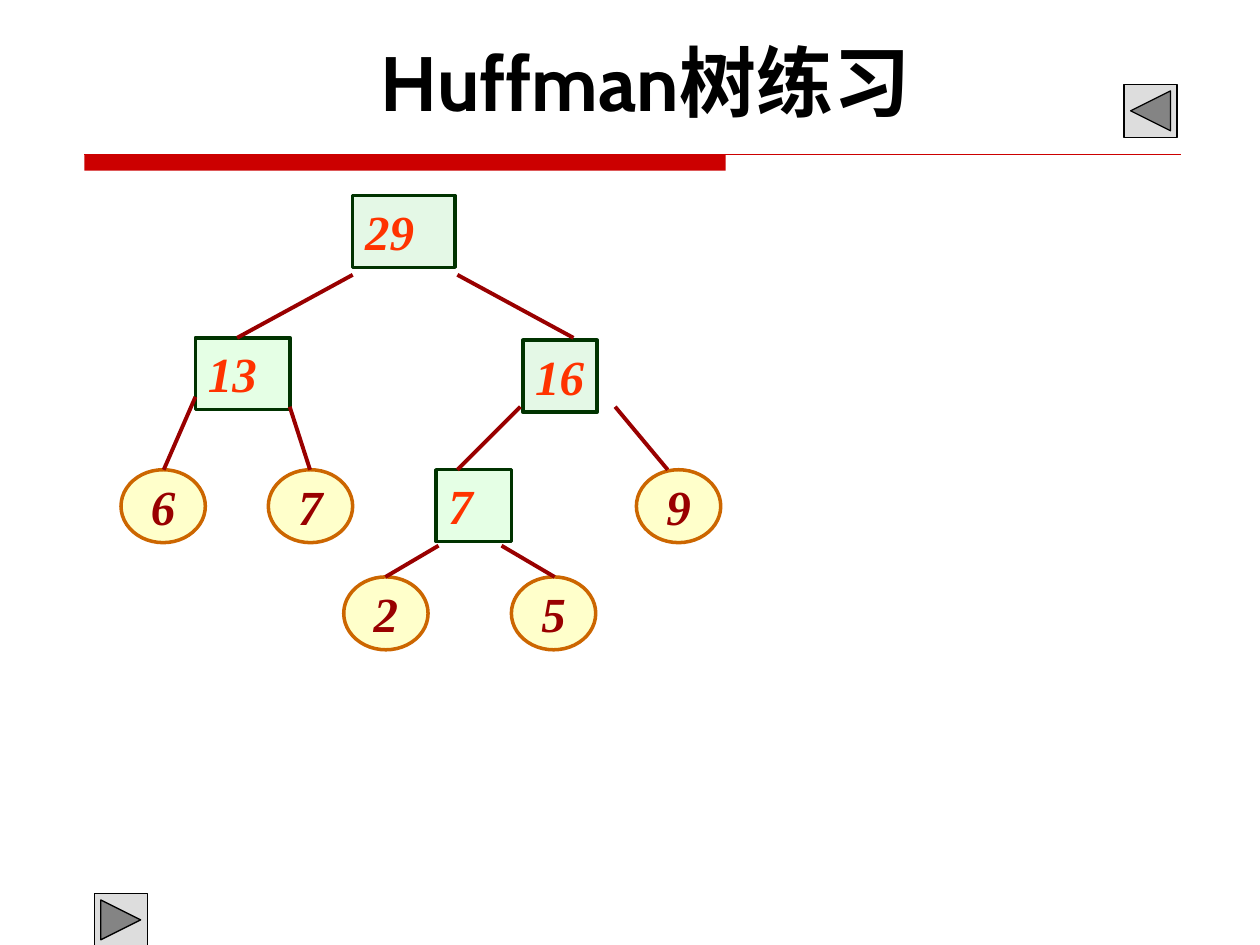
from dataclasses import dataclass

from lxml import etree
from pptx import Presentation
from pptx.dml.color import RGBColor
from pptx.enum.shapes import MSO_CONNECTOR, MSO_SHAPE
from pptx.enum.text import MSO_ANCHOR, MSO_AUTO_SIZE, PP_ALIGN
from pptx.oxml.ns import qn
from pptx.util import Cm, Pt

STRAIGHT = MSO_CONNECTOR.STRAIGHT
RECTANGLE, OVAL = MSO_SHAPE.RECTANGLE, MSO_SHAPE.OVAL
BACK = MSO_SHAPE.ACTION_BUTTON_BACK_OR_PREVIOUS
FORWARD = MSO_SHAPE.ACTION_BUTTON_FORWARD_OR_NEXT
TOP, MIDDLE = MSO_ANCHOR.TOP, MSO_ANCHOR.MIDDLE
LEFT, CENTER = PP_ALIGN.LEFT, PP_ALIGN.CENTER
FIT_SHAPE = MSO_AUTO_SIZE.SHAPE_TO_FIT_TEXT

COLORS = {
    "rule": "CC0000",
    "title": "000000",
    "edge": "990000",
    "leaf_fill": "FFFF99",
    "leaf_line": "CC6600",
    "leaf_text": "990000",
    "branch_fill": "CCFFCC",
    "branch_fill_dull": "CAF2CE",
    "branch_line": "003300",
    "branch_text": "FF3300",
    "button_fill": "DDDDDD",
    "button_line": "000000",
}
LEAF_WIDTH, LEAF_HEIGHT, BRANCH_HEIGHT = 1.7, 1.47, 1.45
BUTTON_SIZE = 1.07
ROOT_FOOT, SECOND_TOP, SECOND_FOOT = 5.54, 6.81, 8.2
THIRD_TOP, THIRD_FOOT, FOURTH_TOP = 9.47, 11, 11.63


@dataclass
class Leaf:
    weight: str
    left: float
    top: float


@dataclass
class Branch:
    weight: str
    left: float
    top: float
    width: float
    fill: str = "branch_fill"


@dataclass
class Edge:
    start_x: float
    start_y: float
    end_x: float
    end_y: float


LEAVES = [
    Leaf("6", 2.44, THIRD_TOP),
    Leaf("7", 5.41, THIRD_TOP),
    Leaf("9", 12.83, THIRD_TOP),
    Leaf("2", 6.93, FOURTH_TOP),
    Leaf("5", 10.31, FOURTH_TOP),
]
BRANCHES = [
    Branch("29", 7.11, 3.94, 2.06, "branch_fill_dull"),
    Branch("13", 3.94, SECOND_TOP, 1.91),
    Branch("16", 10.54, 6.86, 1.5, "branch_fill_dull"),
    Branch("7", 8.79, THIRD_TOP, 1.52),
]
EDGES = [
    Edge(7.11, ROOT_FOOT, 4.78, SECOND_TOP),
    Edge(9.22, ROOT_FOOT, 11.56, SECOND_TOP),
    Edge(3.94, 8, 3.3, THIRD_TOP),
    Edge(5.84, SECOND_FOOT, 6.25, THIRD_TOP),
    Edge(10.49, SECOND_FOOT, 9.22, THIRD_TOP),
    Edge(12.4, SECOND_FOOT, 13.46, THIRD_TOP),
    Edge(8.84, THIRD_FOOT, 7.77, FOURTH_TOP),
    Edge(10.11, THIRD_FOOT, 11.18, FOURTH_TOP),
]


def color(name: str) -> RGBColor:
    return RGBColor.from_string(COLORS[name])


def write_text(shape, text: str, *, font: str, size: float, fill: str,
               italic: bool = False, align=LEFT, anchor=TOP,
               wrap: bool = True) -> None:
    frame = shape.text_frame
    frame.word_wrap = wrap
    frame.vertical_anchor = anchor
    paragraph = frame.paragraphs[0]
    paragraph.alignment = align
    run = paragraph.add_run()
    run.text = text
    run.font.name = font
    run.font.size = Pt(size)
    run.font.bold = True
    run.font.italic = italic
    run.font.color.rgb = color(fill)


def draw_shape(slide, kind, left: float, top: float, width: float,
               height: float, *, fill: str, line: str | None = None,
               line_width: float = 0.75, opacity: int = 100):
    shape = slide.shapes.add_shape(kind, Cm(left), Cm(top), Cm(width), Cm(height))
    shape.shadow.inherit = False
    shape.fill.solid()
    shape.fill.fore_color.rgb = color(fill)
    if opacity < 100:
        swatch = shape.fill._xPr.find(qn("a:solidFill"))[0]
        etree.SubElement(swatch, qn("a:alpha"), val=str(opacity * 1000))
    if line is None:
        shape.line.fill.background()
    else:
        shape.line.color.rgb = color(line)
        shape.line.width = Pt(line_width)
    return shape


def draw_edge(slide, edge: Edge, line: str = "edge", width: float = 2.25) -> None:
    connector = slide.shapes.add_connector(
        STRAIGHT, Cm(edge.start_x), Cm(edge.start_y), Cm(edge.end_x), Cm(edge.end_y))
    connector.line.color.rgb = color(line)
    connector.line.width = Pt(width)
    etree.SubElement(connector._element.spPr, qn("a:effectLst"))


def draw_leaf(slide, leaf: Leaf) -> None:
    shape = draw_shape(slide, OVAL, leaf.left, leaf.top, LEAF_WIDTH, LEAF_HEIGHT,
                       fill="leaf_fill", line="leaf_line", line_width=2, opacity=50)
    write_text(shape, leaf.weight, font="Times New Roman", size=28, fill="leaf_text",
               italic=True, align=CENTER, anchor=MIDDLE, wrap=False)


def draw_branch(slide, branch: Branch) -> None:
    shape = draw_shape(slide, RECTANGLE, branch.left, branch.top, branch.width,
                       BRANCH_HEIGHT, fill=branch.fill, line="branch_line",
                       line_width=2, opacity=50)
    write_text(shape, branch.weight, font="Times New Roman", size=28,
               fill="branch_text", italic=True)


def draw_header(slide) -> None:
    draw_shape(slide, RECTANGLE, 1.7, 3.12, 12.93, 0.32, fill="rule")
    draw_edge(slide, Edge(1.7, 3.12, 23.8, 3.12), line="rule", width=0.75)
    title = slide.shapes.add_textbox(Cm(1.27), Cm(0.58), Cm(23.5), Cm(2.13))
    write_text(title, "Huffman树练习", font="Cabin", size=44, fill="title", align=CENTER)
    title.text_frame.auto_size = FIT_SHAPE


def main() -> None:
    presentation = Presentation()
    presentation.slide_width = Cm(25.4)
    presentation.slide_height = Cm(19.05)
    slide = presentation.slides.add_slide(presentation.slide_layouts[6])
    draw_header(slide)
    for leaf in LEAVES:
        draw_leaf(slide, leaf)
    for branch in BRANCHES:
        draw_branch(slide, branch)
    for edge in EDGES:
        draw_edge(slide, edge)
    for kind, left, top in ((BACK, 22.66, 1.7), (FORWARD, 1.9, 18.01)):
        draw_shape(slide, kind, left, top, BUTTON_SIZE, BUTTON_SIZE,
                   fill="button_fill", line="button_line")
    presentation.save("out.pptx")


if __name__ == "__main__":
    main()
